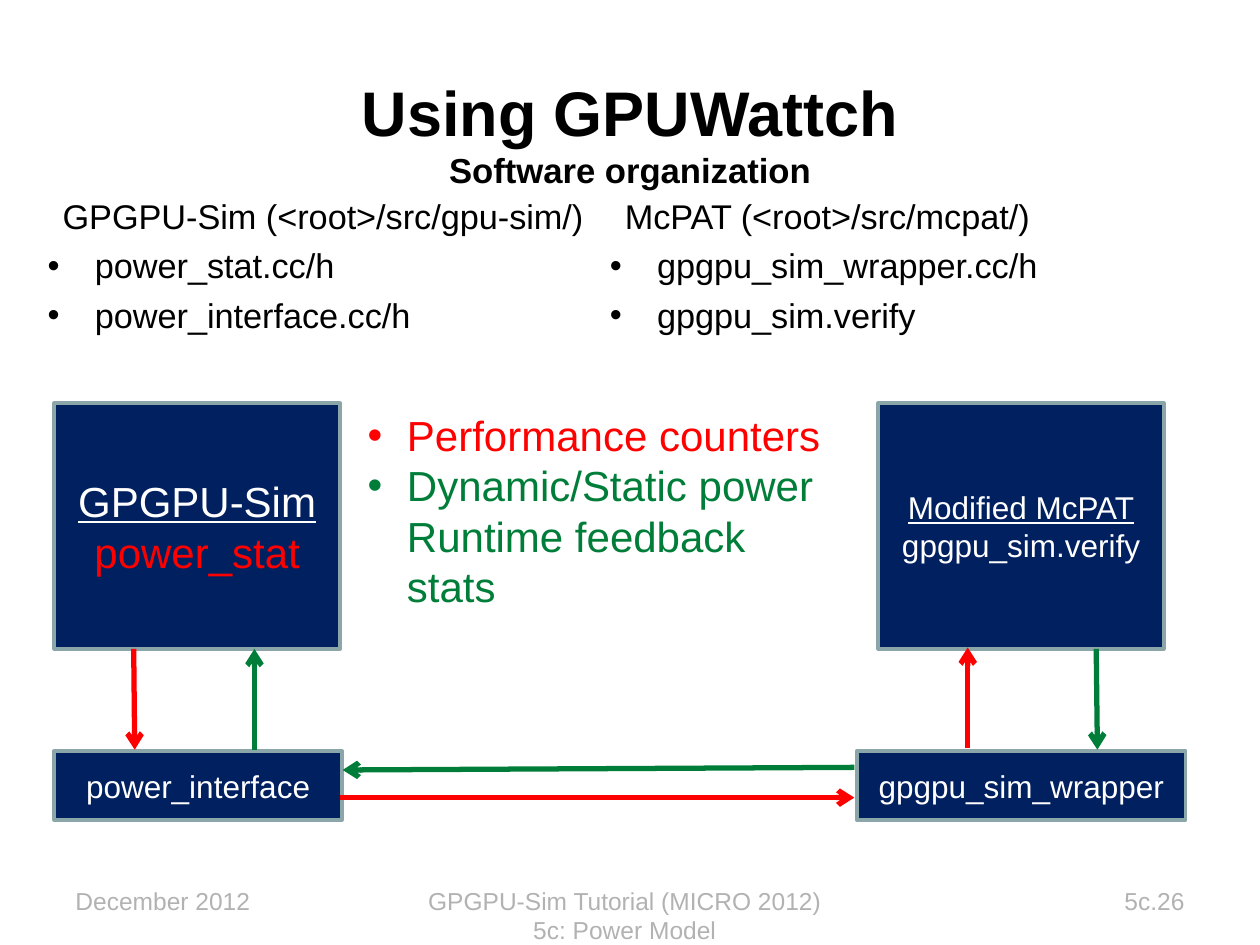
from lxml import etree
from pptx import Presentation
from pptx.dml.color import RGBColor
from pptx.enum.shapes import MSO_CONNECTOR, MSO_SHAPE
from pptx.enum.text import MSO_ANCHOR, MSO_AUTO_SIZE, PP_ALIGN
from pptx.oxml.ns import qn
from pptx.util import Pt

RECTANGLE = MSO_SHAPE.RECTANGLE
STRAIGHT = MSO_CONNECTOR.STRAIGHT
MIDDLE, TOP = MSO_ANCHOR.MIDDLE, MSO_ANCHOR.TOP
NO_FIT = MSO_AUTO_SIZE.NONE
LEFT, CENTER, RIGHT = PP_ALIGN.LEFT, PP_ALIGN.CENTER, PP_ALIGN.RIGHT

BLACK = RGBColor(0x00, 0x00, 0x00)
WHITE = RGBColor(0xFF, 0xFF, 0xFF)
NAVY = RGBColor(0x00, 0x20, 0x60)
SLATE = RGBColor(0x8A, 0xA6, 0xA8)
RED = RGBColor(0xFF, 0x00, 0x00)
GREEN = RGBColor(0x00, 0x7E, 0x39)
GRAY = RGBColor(0xB2, 0xB2, 0xB2)


class SlideBuilder:
    font = "Arial"

    def __init__(self, slide):
        self.slide = slide

    def place(self, shape, left, top, width, height):
        shape.left, shape.top = Pt(left), Pt(top)
        shape.width, shape.height = Pt(width), Pt(height)

    def prepare(self, shape, anchor):
        frame = shape.text_frame
        frame.word_wrap = True
        frame.auto_size = NO_FIT
        frame.vertical_anchor = anchor
        return frame

    def paragraph(self, frame, index, align=LEFT):
        paragraph = frame.add_paragraph() if index else frame.paragraphs[0]
        paragraph.alignment = align
        return paragraph

    def run(self, paragraph, text, size, color, bold=False, underline=False):
        run = paragraph.add_run()
        run.text = text
        font = run.font
        font.name, font.size, font.bold = self.font, Pt(size), bold
        font.underline = underline
        font.color.rgb = color

    def indent(self, paragraph, margin, hanging=0):
        properties = paragraph._p.get_or_add_pPr()
        properties.set("marL", str(Pt(margin)))
        properties.set("indent", str(-Pt(hanging)))
        if hanging:
            etree.SubElement(properties, qn("a:buFont"), typeface=self.font)
            etree.SubElement(properties, qn("a:buChar"), char="•")
        else:
            etree.SubElement(properties, qn("a:buNone"))

    def title(self, heading, subheading, bounds):
        title = self.slide.shapes.title
        self.place(title, *bounds)
        paragraph = self.paragraph(self.prepare(title, MIDDLE), 0, CENTER)
        self.run(paragraph, heading, 36, BLACK, bold=True)
        paragraph.add_line_break()
        self.run(paragraph, subheading, 19.8, BLACK, bold=True)

    def file_list(self, placeholder_index, lines, bounds):
        body = self.slide.placeholders[placeholder_index]
        self.place(body, *bounds)
        frame = self.prepare(body, TOP)
        for index, line in enumerate(lines):
            paragraph = self.paragraph(frame, index)
            paragraph.space_before = Pt(4.7)
            if index:
                self.indent(paragraph, 27, 27)
            else:
                self.indent(paragraph, 8.6)
            self.run(paragraph, line, 19.6, BLACK)

    def module(self, lines, size, bounds):
        box = self.slide.shapes.add_shape(RECTANGLE, *map(Pt, bounds))
        box.shadow.inherit = False
        box.fill.solid()
        box.fill.fore_color.rgb = NAVY
        box.line.color.rgb = SLATE
        box.line.width = Pt(2)
        frame = self.prepare(box, MIDDLE)
        for index, (text, color, underline) in enumerate(lines):
            paragraph = self.paragraph(frame, index, CENTER)
            self.run(paragraph, text, size, color, underline=underline)

    def legend(self, entries, bounds):
        box = self.slide.shapes.add_textbox(*map(Pt, bounds))
        frame = self.prepare(box, TOP)
        for index, (lines, color) in enumerate(entries):
            paragraph = self.paragraph(frame, index)
            self.indent(paragraph, 22.5, 22.5)
            for number, line in enumerate(lines):
                if number:
                    paragraph.add_line_break()
                self.run(paragraph, line, 24, color)

    def arrow(self, color, *ends):
        arrow = self.slide.shapes.add_connector(STRAIGHT, *map(Pt, ends))
        arrow.line.color.rgb = color
        arrow.line.width = Pt(3)
        etree.SubElement(arrow.line._get_or_add_ln(), qn("a:tailEnd"), type="arrow")
        etree.SubElement(arrow._element.spPr, qn("a:effectLst"))

    def footer(self, text, align, left, width):
        box = self.slide.shapes.add_textbox(Pt(left), Pt(502.5), Pt(width), Pt(37.5))
        paragraph = self.paragraph(self.prepare(box, TOP), 0, align)
        self.run(paragraph, text, 14, GRAY)


def main():
    deck = Presentation()
    deck.slide_width, deck.slide_height = Pt(720), Pt(540)
    page = SlideBuilder(deck.slides.add_slide(deck.slide_layouts[3]))

    page.title("Using GPUWattch", "Software organization", (36, 36, 648, 79.2))
    page.file_list(
        1,
        ["GPGPU-Sim (<root>/src/gpu-sim/)", "power_stat.cc/h", "power_interface.cc/h"],
        (20, 108, 334, 96.5),
    )
    page.file_list(
        2,
        ["McPAT (<root>/src/mcpat/)", "gpgpu_sim_wrapper.cc/h", "gpgpu_sim.verify"],
        (341.3, 108, 342.7, 96.5),
    )

    page.module(
        [("Modified McPAT", WHITE, True), ("gpgpu_sim.verify", WHITE, False)],
        18, (501.8, 230.4, 163.4, 140.4),
    )
    page.module(
        [("GPGPU-Sim", WHITE, True), ("power_stat", RED, False)],
        24, (31, 230.4, 163.4, 140.4),
    )
    page.module([("gpgpu_sim_wrapper", WHITE, False)], 18, (489.6, 429, 188, 39.6))
    page.module([("power_interface", WHITE, False)], 18, (31, 429, 164.4, 39.6))

    page.legend(
        [
            (["Performance counters"], RED),
            (["Dynamic/Static power", "Runtime feedback stats"], GREEN),
        ],
        (203, 230.4, 280, 94.3),
    )

    page.arrow(RED, 76.4, 370.8, 77, 428.4)
    page.arrow(RED, 194.4, 455.8, 488.2, 455.8)
    page.arrow(RED, 553, 427.7, 553, 370)
    page.arrow(GREEN, 145.4, 428.4, 145.4, 370.8)
    page.arrow(GREEN, 626.4, 370.8, 627.1, 428.4)
    page.arrow(GREEN, 488.2, 438.5, 195.8, 440)

    page.footer("GPGPU-Sim Tutorial (MICRO 2012) 5c: Power Model", CENTER, 234, 246)
    page.footer("December 2012", LEFT, 36, 168)
    page.footer("5c.26", RIGHT, 516, 168)

    deck.save("out.pptx")


if __name__ == "__main__":
    main()
